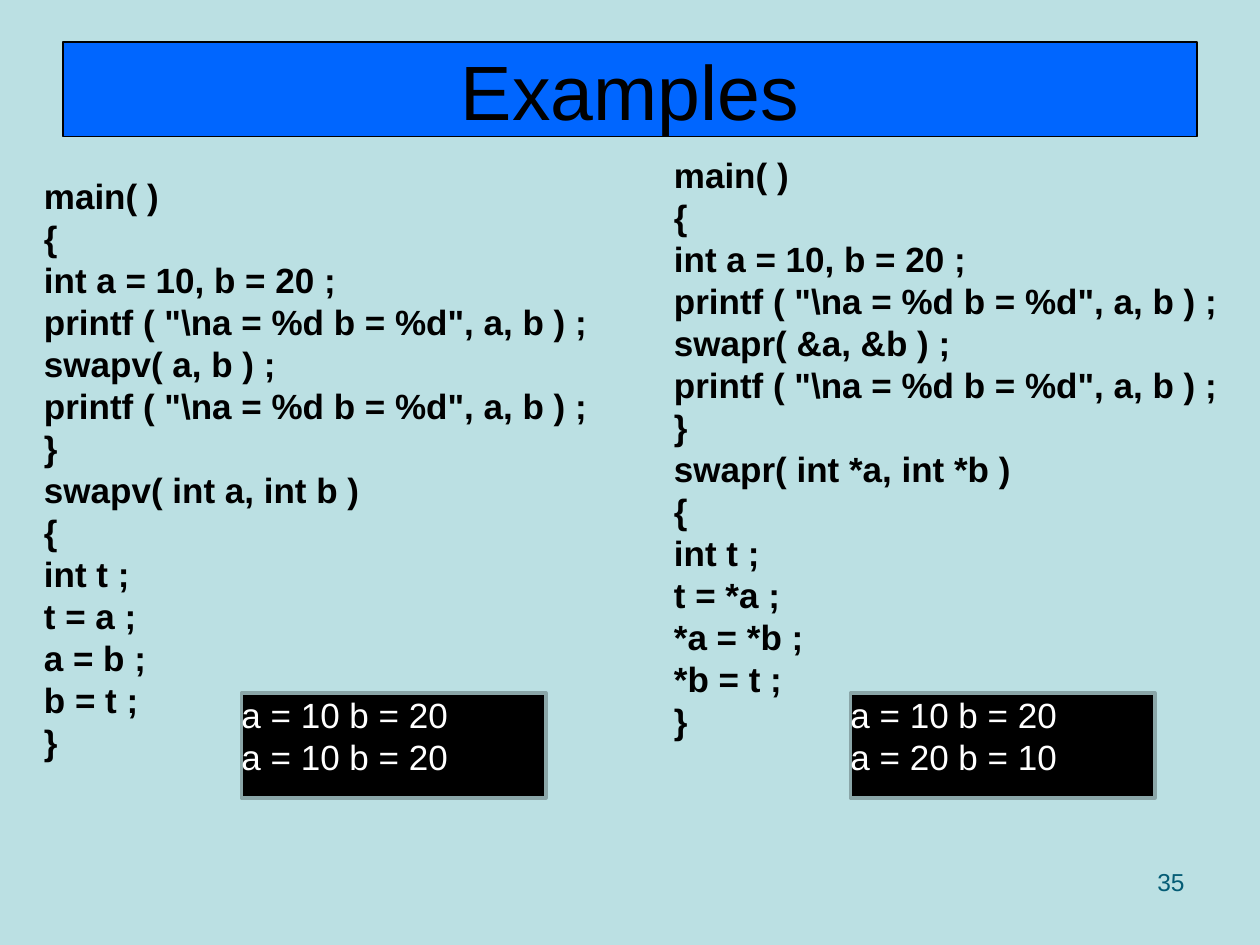
import pptx
import pptx.util
import pptx.dml.color
import pptx.enum.shapes
import pptx.enum.text

Pt = pptx.util.Pt
ALIGN = pptx.enum.text.PP_ALIGN
ANCHOR = pptx.enum.text.MSO_ANCHOR


def color(value):
    return pptx.dml.color.RGBColor.from_string(value)


def write_lines(frame, lines, size, ink, bold=False, align=ALIGN.LEFT, spacing=None):
    for i, line in enumerate(lines):
        paragraph = frame.paragraphs[0] if i == 0 else frame.add_paragraph()
        paragraph.alignment = align
        if spacing:
            paragraph.line_spacing = Pt(spacing)
        run = paragraph.add_run()
        run.text = line
        run.font.name = "Arial"
        run.font.size = Pt(size)
        run.font.bold = bold
        run.font.color.rgb = color(ink)


deck = pptx.Presentation()
deck.slide_width, deck.slide_height = Pt(720), Pt(540)
slide = deck.slides.add_slide(deck.slide_layouts[5])
slide.background.fill.solid()
slide.background.fill.fore_color.rgb = color("BBE0E3")

# Title bar
title = slide.shapes.title
title.left, title.top, title.width, title.height = Pt(36), Pt(24), Pt(648), Pt(54)
title.fill.solid()
title.fill.fore_color.rgb = color("0066FF")
title.line.color.rgb = color("000000")
title.line.width = Pt(0.75)
title.text_frame.auto_size = pptx.enum.text.MSO_AUTO_SIZE.NONE
title.text_frame.vertical_anchor = ANCHOR.MIDDLE
write_lines(title.text_frame, ["Examples"], 44, "000000", align=ALIGN.CENTER)

# Call by reference and call by value: code, then its output
PRINT = 'printf ( "\\na = %d b = %d", a, b ) ;'
examples = [
    (378, 84, "swapr( &a, &b ) ;", "swapr( int *a, int *b )",
     ["t = *a ;", "*a = *b ;", "*b = t ;"], 486, "a = 20 b = 10"),
    (18, 96, "swapv( a, b ) ;", "swapv( int a, int b )",
     ["t = a ;", "a = b ;", "b = t ;"], 138, "a = 10 b = 20"),
]
for code_left, code_top, call, signature, swap, output_left, result in examples:
    code = slide.shapes.add_textbox(Pt(code_left), Pt(code_top), Pt(342), Pt(346))
    code.text_frame.word_wrap = True
    lines = ["main( )", "{", "int a = 10, b = 20 ;", PRINT, call, PRINT, "}",
             signature, "{", "int t ;", *swap, "}"]
    write_lines(code.text_frame, lines, 20, "000000", bold=True, spacing=24)

    output = slide.shapes.add_shape(
        pptx.enum.shapes.MSO_SHAPE.RECTANGLE, Pt(output_left), Pt(396), Pt(174), Pt(60))
    output.shadow.inherit = False
    output.fill.solid()
    output.fill.fore_color.rgb = color("000000")
    output.line.color.rgb = color("8AA6A8")
    output.line.width = Pt(2)
    output.text_frame.margin_left = output.text_frame.margin_top = 0
    output.text_frame.word_wrap = False
    output.text_frame.vertical_anchor = ANCHOR.TOP
    write_lines(output.text_frame, ["a = 10 b = 20", result], 20, "FFFFFF", spacing=24)

# Slide number
number = slide.shapes.add_textbox(Pt(516), Pt(492), Pt(168), Pt(37.5))
number.text_frame.word_wrap = True
write_lines(number.text_frame, ["35"], 14, "045C75", align=ALIGN.RIGHT)

deck.save("out.pptx")
